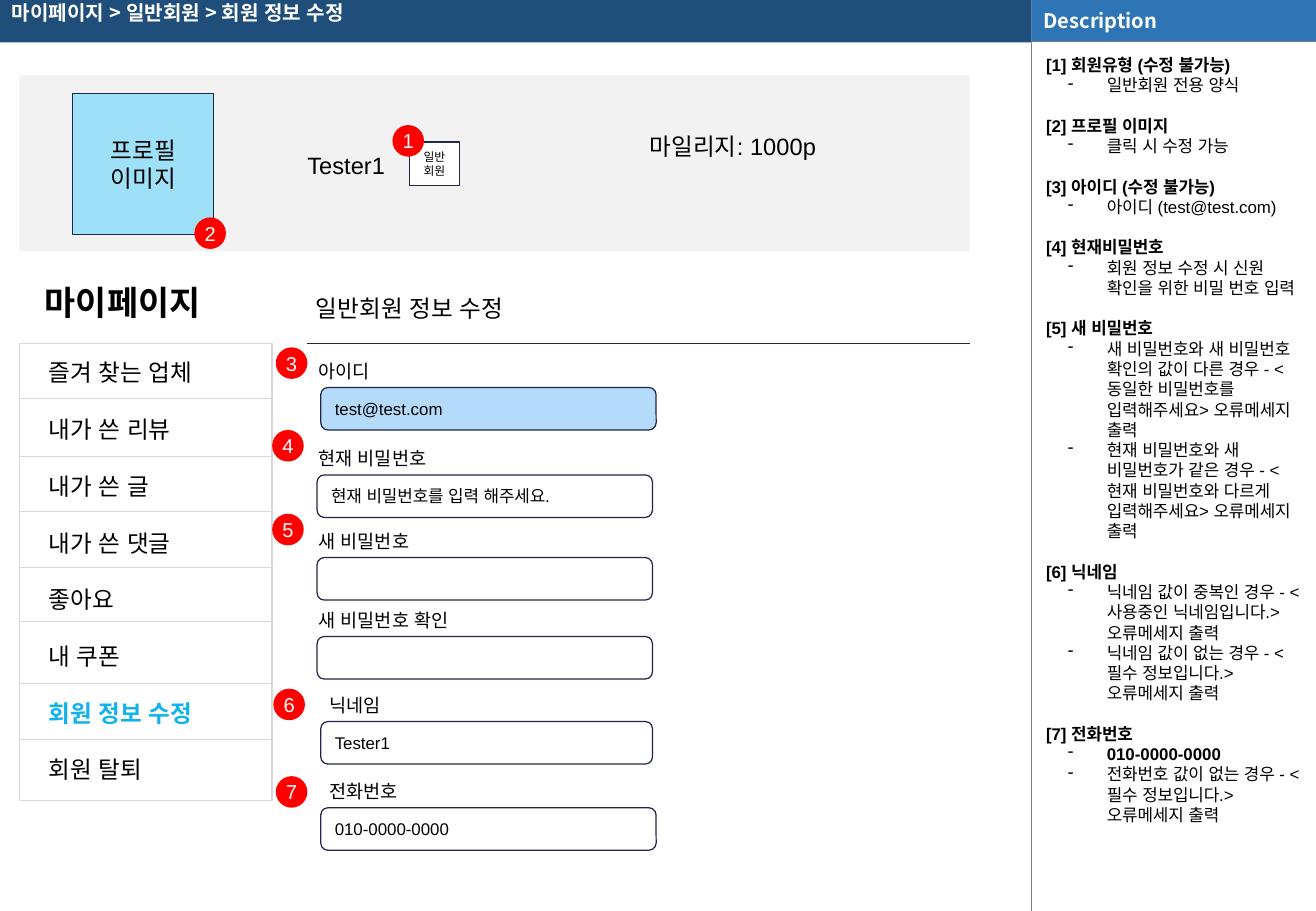
import pptx
import pptx.util
import pptx.dml.color
import pptx.enum.dml
import pptx.enum.lang
import pptx.enum.shapes
import pptx.enum.text
import pptx.oxml.ns
from lxml import etree

COLORS = {
    "navy": "1E4E79", "blue": "2E75B5", "divider": "7F7F7F", "white": "FFFFFF",
    "black": "000000", "outline": "212745", "panel": "F2F2F2", "avatar": "9EE0F8",
    "locked": "B4DCFA", "badge": "FF0000", "menu_line": "D9D9D9", "active": "12B2EB",
}

BREADCRUMB = "마이페이지 > 일반회원 > 회원 정보 수정"
DESCRIPTION = [
    ("[1] 회원유형 (수정 불가능)", ["일반회원 전용 양식"]),
    ("[2] 프로필 이미지", ["클릭 시 수정 가능"]),
    ("[3] 아이디 (수정 불가능)", ["아이디 (test@test.com)"]),
    ("[4] 현재비밀번호", ["회원 정보 수정 시 신원 확인을 위한 비밀 번호 입력"]),
    ("[5] 새 비밀번호", [
        "새 비밀번호와 새 비밀번호 확인의 값이 다른 경우 - <동일한 비밀번호를 입력해주세요> 오류메세지 출력",
        "현재 비밀번호와 새 비밀번호가 같은 경우 - <현재 비밀번호와 다르게 입력해주세요> 오류메세지 출력"]),
    ("[6] 닉네임", [
        "닉네임 값이 중복인 경우 - <사용중인 닉네임입니다.> 오류메세지 출력",
        "닉네임 값이 없는 경우 - <필수 정보입니다.> 오류메세지 출력"]),
    ("[7] 전화번호", [
        "010-0000-0000",
        "전화번호 값이 없는 경우 - <필수 정보입니다.> 오류메세지 출력"]),
]
BOLD_ITEM = "010-0000-0000"
MENU = ["즐겨 찾는 업체", "내가 쓴 리뷰", "내가 쓴 글", "내가 쓴 댓글",
        "좋아요", "내 쿠폰", "회원 정보 수정", "회원 탈퇴"]
ACTIVE_MENU = "회원 정보 수정"

# Positions are columns and rows of a grid with 0.1 inch cells.
CELL = pptx.util.Inches(0.1)
COLUMNS, ROWS = 108.3, 75
SIDEBAR_LEFT, HEADER_ROWS = 84.9, 3.5
MENU_LEFT, MENU_TOP, MENU_WIDTH, MENU_HEIGHT = 1.6, 28.3, 20.8, 37.6
MENU_DIVIDERS = [32.8, 37.6, 42.1, 46.7, 51.2, 56.3, 60.9]
FIELD_HEIGHT, LABEL_RISE, BADGE_SIZE = 3.5, 3.2, 2.6
# label, value, label left, field left, field top, field width, fill
FIELDS = [
    ("아이디", "test@test.com", 25.2, 26.4, 31.9, 27.6, "locked"),
    ("현재 비밀번호", "현재 비밀번호를 입력 해주세요.", 25.2, 26.1, 39.1, 27.6, "white"),
    ("새 비밀번호", "", 25.2, 26.1, 45.9, 27.6, "white"),
    ("새 비밀번호 확인", "", 25.2, 26.1, 52.4, 27.6, "white"),
    ("닉네임", "Tester1", 26.1, 26.4, 59.4, 27.3, "white"),
    ("전화번호", "010-0000-0000", 26.1, 26.4, 66.5, 27.6, "white"),
]
# left and top of badges 1 to 7
BADGES = [(32.3, 10.3), (16, 17.9), (22.7, 28.6), (22.4, 35.4),
          (22.4, 42.3), (22.5, 56.7), (22.7, 63.9)]

KINDS = pptx.enum.shapes.MSO_SHAPE
ALIGN = pptx.enum.text.PP_ALIGN
ANCHOR = pptx.enum.text.MSO_ANCHOR
qn = pptx.oxml.ns.qn

presentation = pptx.Presentation()
presentation.slide_width = int(COLUMNS * CELL)
presentation.slide_height = int(ROWS * CELL)
slide = presentation.slides.add_slide(presentation.slide_layouts[6])


def cells(*counts):
    return [int(count * CELL) for count in counts]


def color(name):
    return pptx.dml.color.RGBColor.from_string(COLORS[name])


def add_run(paragraph, text, size, ink="black", bold=False, font="Arial"):
    run = paragraph.add_run()
    run.text = text
    run.font.size = pptx.util.Pt(size)
    run.font.bold = bold
    run.font.name = font
    run.font.color.rgb = color(ink)
    run.font.language_id = pptx.enum.lang.MSO_LANGUAGE_ID.KOREAN
    east_asian = etree.SubElement(run._r.get_or_add_rPr(), qn("a:ea"))
    east_asian.set("typeface", font)


def prepare_frame(shape, anchor, inset, vertical_inset=None):
    frame = shape.text_frame
    frame.word_wrap = True
    frame.vertical_anchor = anchor
    frame.margin_left = frame.margin_right = int(inset * CELL)
    rise = inset if vertical_inset is None else vertical_inset
    frame.margin_top = frame.margin_bottom = int(rise * CELL)
    return frame


def add_box(kind, place, fill=None, line=None):
    shape = slide.shapes.add_shape(kind, *cells(*place))
    shape.shadow.inherit = False
    if fill:
        shape.fill.solid()
        shape.fill.fore_color.rgb = color(fill)
    else:
        shape.fill.background()
    if line:
        shape.line.color.rgb = color(line)
        shape.line.width = pptx.util.Pt(0.75)
    else:
        shape.line.fill.background()
    return shape


def write_in_box(shape, lines, size, ink="black", align=ALIGN.CENTER, inset=1):
    frame = prepare_frame(shape, ANCHOR.MIDDLE, inset)
    for index, text in enumerate(lines):
        paragraph = frame.add_paragraph() if index else frame.paragraphs[0]
        paragraph.alignment = align
        add_run(paragraph, text, size, ink)


def add_text(place, text, size, bold=False, align=ALIGN.LEFT):
    box = slide.shapes.add_textbox(*cells(*place))
    paragraph = prepare_frame(box, ANCHOR.TOP, 1).paragraphs[0]
    paragraph.alignment = align
    add_run(paragraph, text, size, bold=bold)


def add_line(left, top, right, bottom, ink):
    line = slide.shapes.add_connector(
        pptx.enum.shapes.MSO_CONNECTOR.STRAIGHT, *cells(left, top, right, bottom))
    line.line.color.rgb = color(ink)
    line.line.width = pptx.util.Pt(0.75)
    etree.SubElement(line._element.spPr, qn("a:effectLst"))


def add_dash_bullet(paragraph):
    properties = paragraph._p.get_or_add_pPr()
    properties.set("marL", str(int(5 * CELL)))
    properties.set("indent", str(int(-3.2 * CELL)))
    etree.SubElement(properties, qn("a:buChar")).set("char", "-")


def draw_header():
    add_box(KINDS.RECTANGLE, (0, 0, SIDEBAR_LEFT, HEADER_ROWS), "navy")
    add_line(SIDEBAR_LEFT, 3.4, SIDEBAR_LEFT, ROWS, "divider")
    add_line(SIDEBAR_LEFT, 3.4, COLUMNS, 3.4, "divider")
    title = add_box(KINDS.RECTANGLE, (SIDEBAR_LEFT, 0, COLUMNS - SIDEBAR_LEFT, 3.4), "blue")
    paragraph = prepare_frame(title, ANCHOR.MIDDLE, 1, 0.5).paragraphs[0]
    paragraph.alignment = ALIGN.LEFT
    add_run(paragraph, "Description", 11.9, "white", True, "Noto Sans CJK KR")
    box = slide.shapes.add_textbox(*cells(0, -0.6, 82.5, HEADER_ROWS))
    paragraph = prepare_frame(box, ANCHOR.MIDDLE, 1, 0.5).paragraphs[0]
    paragraph.line_spacing = 0.9
    add_run(paragraph, BREADCRUMB, 11.9, "white", True, "Noto Sans CJK KR")


def draw_description():
    box = slide.shapes.add_textbox(*cells(85.1, 3.5, 23.2, 71.5))
    frame = prepare_frame(box, ANCHOR.TOP, 1)
    for index, (heading, items) in enumerate(DESCRIPTION):
        paragraph = frame.add_paragraph() if index else frame.paragraphs[0]
        paragraph.space_before = pptx.util.Pt(12 if index else 0)
        add_run(paragraph, heading, 10, bold=True)
        for item in items:
            paragraph = frame.add_paragraph()
            add_dash_bullet(paragraph)
            add_run(paragraph, item, 10, bold=item == BOLD_ITEM)


def draw_profile():
    add_box(KINDS.RECTANGLE, (1.6, 6.2, 78.2, 14.5), "panel")
    avatar = add_box(KINDS.RECTANGLE, (6, 7.7, 11.6, 11.6), "avatar", "outline")
    write_in_box(avatar, ["프로필", "이미지"], 14)
    member_type = add_box(KINDS.RECTANGLE, (33.7, 11.7, 4.1, 3.6), "white", "outline")
    write_in_box(member_type, ["일반회원"], 7)
    add_text((22, 11.4, 13, 4.4), "Tester1", 14, align=ALIGN.CENTER)
    add_text((48.2, 9.9, 24.2, 4.4), "마일리지: 1000p", 14, align=ALIGN.CENTER)


def draw_menu():
    add_text((2.7, 22.2, 18.6, 5.4), "마이페이지", 20, bold=True)
    add_box(KINDS.RECTANGLE, (MENU_LEFT, MENU_TOP, MENU_WIDTH, MENU_HEIGHT), line="menu_line")
    box = slide.shapes.add_textbox(*cells(3, 28.5, 18.6, 37.4))
    frame = prepare_frame(box, ANCHOR.TOP, 1)
    for index, entry in enumerate(MENU):
        paragraph = frame.add_paragraph() if index else frame.paragraphs[0]
        paragraph.space_before = pptx.util.Pt(16.8 if index else 0)
        active = entry == ACTIVE_MENU
        add_run(paragraph, entry, 14, "active" if active else "black", active)
    for row in MENU_DIVIDERS:
        add_line(MENU_LEFT, row, MENU_LEFT + MENU_WIDTH, row, "menu_line")


def draw_form():
    add_text((25, 23.2, 56.6, 4.4), "일반회원 정보 수정", 14)
    add_line(25.3, MENU_TOP, 79.8, MENU_TOP, "outline")
    for label, value, label_left, left, top, width, fill in FIELDS:
        add_text((label_left, top - LABEL_RISE, 51.1, 3.9), label, 11)
        field = add_box(KINDS.ROUNDED_RECTANGLE, (left, top, width, FIELD_HEIGHT), fill, "outline")
        if value:
            write_in_box(field, [value], 10, align=ALIGN.LEFT)


def draw_badges():
    for number, (left, top) in enumerate(BADGES, 1):
        badge = add_box(KINDS.OVAL, (left, top, BADGE_SIZE, BADGE_SIZE), "badge")
        write_in_box(badge, [str(number)], 11.9, "white", inset=0)


draw_header()
draw_description()
draw_profile()
draw_menu()
draw_form()
draw_badges()
presentation.save("out.pptx")
